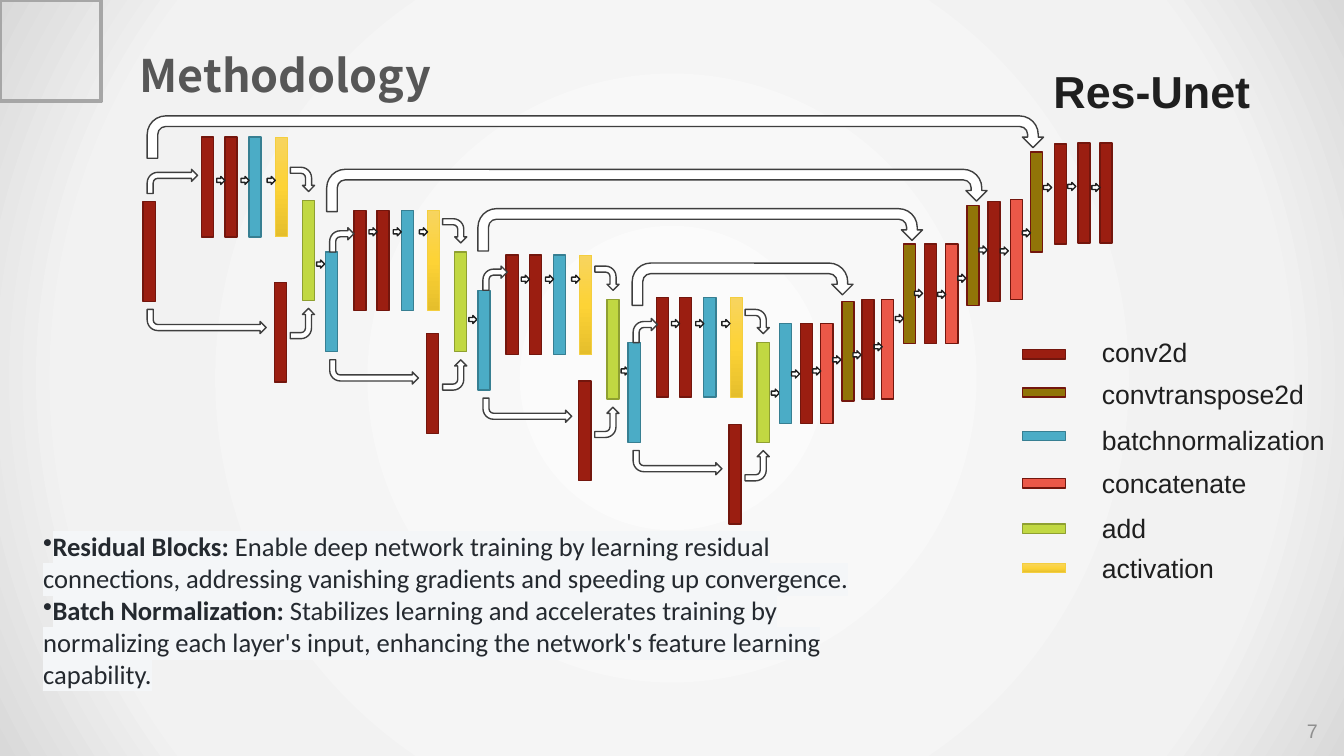
import dataclasses

import lxml.etree
import pptx
import pptx.dml.color
import pptx.enum.shapes
import pptx.enum.text
import pptx.oxml
import pptx.oxml.ns
import pptx.util

Inches = pptx.util.Inches
Pt = pptx.util.Pt
SHAPE = pptx.enum.shapes.MSO_SHAPE
ALIGN = pptx.enum.text.PP_ALIGN
ANCHOR = pptx.enum.text.MSO_ANCHOR
qn = pptx.oxml.ns.qn

LAYERS = {
    "conv2d": ("9B1E11", "73160D", 1),
    "convtranspose2d": ("917408", "73160D", 1),
    "batchnormalization": ("4BACC6", "377F92", 1),
    "concatenate": ("EB5848", "73160D", 1),
    "add": ("C1D842", "8FA031", 1),
    "activation": ([(0, "F7D45F"), (50, "FDD336"), (100, "E5BE2C")], "F4CE3F", 0.5),
}
VERTICAL = '<a:lin ang="5400000" scaled="0"/>'
RADIAL = '<a:path path="circle"><a:fillToRect l="50000" t="50000" r="50000" b="50000"/></a:path>'


def colour(value):
    return pptx.dml.color.RGBColor.from_string(value)


@dataclasses.dataclass
class Stage:
    left: float
    top: float
    add_top: float
    step_top: float
    exit_top: float
    entry: str
    entry_left: float
    entry_top: float
    branch_left: float
    branch_top: float
    branch_width: float
    bypass_width: float


class Canvas:
    ink = "1F1F1F"
    bend_ink = "3F3F3F"
    block_width = 0.12
    block_height = 0.99

    def __init__(self, deck):
        self.page = deck.slides.add_slide(deck.slide_layouts[5])
        self.shapes = self.page.shapes

    def gradient(self, fill, element, stops, direction):
        fill.solid()
        fill.fore_color.rgb = colour(stops[0][1])
        solid = element.find(".//" + qn("a:solidFill"))
        marks = "".join(f'<a:gs pos="{pos * 1000}"><a:srgbClr val="{value}"/></a:gs>'
                        for pos, value in stops)
        solid.getparent().replace(solid, pptx.oxml.parse_xml(
            f'<a:gradFill xmlns:a="{pptx.oxml.ns.nsuri("a")}" rotWithShape="1">'
            f"<a:gsLst>{marks}</a:gsLst>{direction}</a:gradFill>"))

    def background(self, stops):
        fill = self.page.background.fill
        self.gradient(fill, self.page.element, stops, RADIAL)

    def shape(self, kind, bounds, fill, line, weight=1):
        box = self.shapes.add_shape(kind, *map(Inches, bounds))
        box.shadow.inherit = False
        if isinstance(fill, list):
            self.gradient(box.fill, box.element, fill, VERTICAL)
        else:
            box.fill.solid()
            box.fill.fore_color.rgb = colour(fill)
        box.line.color.rgb = colour(line)
        box.line.width = Pt(weight)
        return box

    def block(self, layer, left, top):
        self.shape(SHAPE.RECTANGLE, (left, top, self.block_width, self.block_height), *LAYERS[layer])

    def step(self, left, top):
        self.shape(SHAPE.RIGHT_ARROW, (left, top, 0.08, 0.08), "FFFFFF", self.ink)

    def bend(self, left, top, width, height, kind=SHAPE.BENT_ARROW, rotation=0, flip=None):
        box = self.shape(kind, (left, top, width, height), "FFFFFF", self.bend_ink)
        box.rotation = rotation
        if flip:
            box.element.spPr.find(qn("a:xfrm")).set(flip, "1")

    def bracket(self, points, line, weight):
        builder = self.shapes.build_freeform(*points[0], scale=Inches(1))
        builder.add_line_segments(points[1:], close=False)
        box = builder.convert_to_shape()
        box.shadow.inherit = False
        box.fill.background()
        box.line.color.rgb = colour(line)
        box.line.width = Pt(weight)

    def style(self, para, size, font, ink, bold=False):
        for span in para.runs:
            span.font.size = Pt(size)
            span.font.name = font
            span.font.bold = bold
            span.font.color.rgb = colour(ink)

    def title(self, text, bounds):
        box = self.shapes.title
        box.left, box.top, box.width, box.height = map(Inches, bounds)
        frame = box.text_frame
        frame.text = text
        frame.word_wrap = False
        frame.vertical_anchor = ANCHOR.TOP
        frame.paragraphs[0].alignment = ALIGN.CENTER
        self.style(frame.paragraphs[0], 32, "Noto Sans CJK SC", "575757", True)

    def text(self, text, bounds, size, ink, bold=False, align=ALIGN.LEFT, anchor=ANCHOR.TOP):
        box = self.shapes.add_textbox(*map(Inches, bounds))
        frame = box.text_frame
        frame.text = text
        frame.vertical_anchor = anchor
        frame.paragraphs[0].alignment = align
        self.style(frame.paragraphs[0], size, "Arial", ink, bold)
        return frame

    def notes(self, items, bounds):
        frame = self.shapes.add_textbox(*map(Inches, bounds)).text_frame
        frame.word_wrap = True
        for index, item in enumerate(items):
            para = frame.add_paragraph() if index else frame.paragraphs[0]
            for part in item:
                para.add_run().text = part
            self.style(para, 19, "Calibri", "24292F")
            para.runs[0].font.bold = True
            bullet = lxml.etree.SubElement(para._p.get_or_add_pPr(), qn("a:buChar"))
            bullet.set("char", "•")
            for span in para.runs:
                mark = lxml.etree.Element(qn("a:highlight"))
                lxml.etree.SubElement(mark, qn("a:srgbClr")).set("val", "F4F6F8")
                span._r.rPr.find(qn("a:solidFill")).addnext(mark)

    def stage(self, s):
        self.block(s.entry, s.entry_left, s.entry_top)
        for layer, offset in (("conv2d", 0.28), ("conv2d", 0.51),
                              ("batchnormalization", 0.75), ("activation", 1.01)):
            self.block(layer, s.left + offset, s.top)
        self.block("conv2d", s.left + 1, s.add_top + 0.81)
        self.block("add", s.left + 1.28, s.add_top)
        for offset in (0.43, 0.67, 0.93):
            self.step(s.left + offset, s.step_top)
        self.step(s.left + 1.42, s.exit_top)
        self.bend(s.left + 1.16, s.add_top - 0.33, 0.24, 0.24, rotation=90)
        self.bend(s.left + 1.13, s.add_top + 1.1, 0.3, 0.24, rotation=90, flip="flipH")
        self.bend(s.branch_left, s.branch_top, s.branch_width, 0.24)
        self.bend(s.branch_left, s.entry_top + 1.07, s.bypass_width, 0.24, flip="flipV")


STAGES = [
    Stage(1.72, 1.36, 1.99, 1.75, 2.58, "conv2d", 1.42, 2, 1.46, 1.68, 0.5, 1.18),
    Stage(3.23, 2.09, 2.5, 2.26, 3.13, "batchnormalization", 3.23, 2.5, 3.27, 2.26, 0.24, 0.88),
    Stage(4.74, 2.53, 2.97, 2.73, 3.64, "batchnormalization", 4.74, 2.88, 4.79, 2.64, 0.24, 0.88),
    Stage(6.23, 2.95, 3.4, 3.17, 3.86, "batchnormalization", 6.23, 3.4, 6.28, 3.16, 0.24, 0.88),
]
DECODER = [
    ("batchnormalization", 7.73, 3.21), ("conv2d", 7.94, 3.21), ("concatenate", 8.14, 3.21),
    ("convtranspose2d", 8.35, 2.99), ("conv2d", 8.55, 2.97), ("concatenate", 8.74, 2.97),
    ("convtranspose2d", 8.96, 2.42), ("conv2d", 9.17, 2.42), ("concatenate", 9.38, 2.42),
    ("convtranspose2d", 9.59, 2.04), ("conv2d", 9.8, 2), ("concatenate", 10.02, 1.98),
    ("convtranspose2d", 10.22, 1.51), ("conv2d", 10.46, 1.43), ("conv2d", 10.69, 1.42),
    ("conv2d", 10.91, 1.42),
]
DECODER_STEPS = [
    (7.85, 3.67), (8.06, 3.64), (8.26, 3.53), (8.46, 3.48), (8.67, 3.4), (8.88, 3.12),
    (9.07, 2.87), (9.3, 2.88), (9.5, 2.72), (9.71, 2.44), (9.92, 2.45), (10.14, 2.27),
    (10.35, 1.82), (10.59, 1.81), (10.83, 1.82),
]
SKIPS = [(1.46, 1.15, 8.89), (3.24, 1.68, 6.55), (4.74, 2.07, 4.41), (6.27, 2.61, 2.19)]
LEGEND_TOPS = [(3.47, 3.28), (3.85, 3.7), (4.28, 4.16), (4.75, 4.58), (5.2, 5.03), (5.59, 5.43)]
BRACKETS = [
    ([(0.84, 0.54), (0.84, 0.46), (0.3, 0.46), (0.3, 1.07), (0.84, 1.07), (0.84, 1)], "808080", 2.5),
    ([(1.01, 0.6), (1.01, 0.33), (0.47, 0.33), (0.47, 0.81), (0.76, 0.81)], "A6A6A6", 2.5),
    ([(12.8, 7.33), (12.8, 7.43), (13.24, 7.43), (13.24, 7.05), (13.08, 7.05)], "A6A6A6", 2),
]
NOTES = [
    ("Residual Blocks: ", "Enable deep network training by learning residual connections, "
     "addressing vanishing gradients and speeding up convergence."),
    ("Batch Normalization: ", "Stabilizes learning and accelerates training by normalizing each "
     "layer's input, enhancing the network's feature learning capability."),
]


def main():
    deck = pptx.Presentation()
    deck.slide_width, deck.slide_height = Inches(13.33), Inches(7.5)
    canvas = Canvas(deck)
    canvas.background([(0, "FBFBFB"), (79, "F2F2F2"), (100, "D9D9D9")])
    for bracket in BRACKETS:
        canvas.bracket(*bracket)
    canvas.title("Methodology", (1.21, 0.42, 3.24, 0.64))
    canvas.text("Res-Unet", (10.35, 0.58, 2.82, 0.64), 32, canvas.ink, bold=True)
    number = canvas.text("7", (12.8, 7.09, 0.43, 0.31), 14, "8F8F8F",
                         align=ALIGN.CENTER, anchor=ANCHOR.MIDDLE)
    number.margin_left = number.margin_right = Inches(0.07)
    for stage in STAGES:
        canvas.stage(stage)
    for layer, left, top in DECODER:
        canvas.block(layer, left, top)
    for left, top in DECODER_STEPS:
        canvas.step(left, top)
    for left, top, width in SKIPS:
        canvas.bend(left, top, width, 0.42, kind=SHAPE.U_TURN_ARROW)
    for layer, (swatch_top, label_top) in zip(LAYERS, LEGEND_TOPS):
        canvas.shape(SHAPE.RECTANGLE, (10.14, swatch_top, 0.43, 0.09), *LAYERS[layer])
        canvas.text(layer, (10.83, label_top, 2.5, 0.42), 19, canvas.ink)
    canvas.notes(NOTES, (0.33, 5.21, 8.49, 1.71))
    deck.save("out.pptx")


if __name__ == "__main__":
    main()
